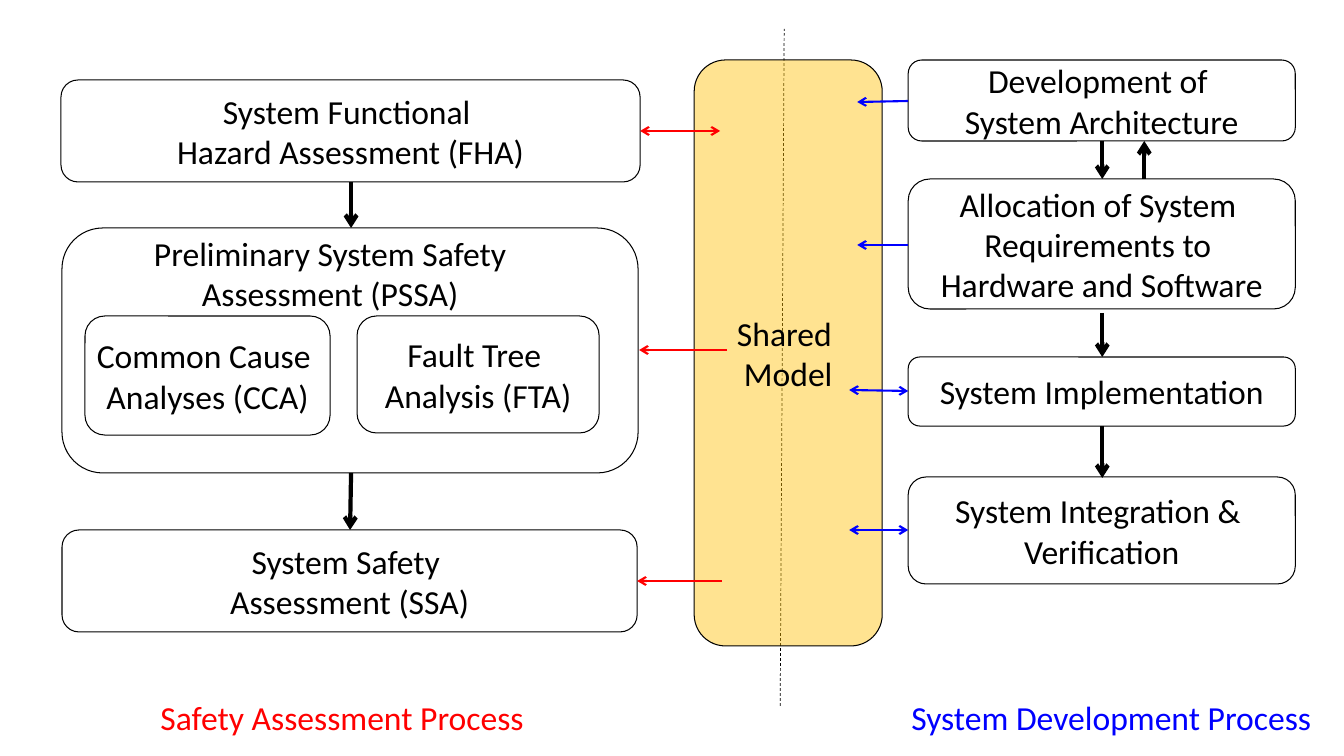
from lxml.etree import SubElement
from pptx import Presentation
from pptx.dml.color import RGBColor
from pptx.enum.dml import MSO_LINE
from pptx.enum.shapes import MSO_CONNECTOR, MSO_SHAPE
from pptx.enum.text import MSO_ANCHOR, PP_ALIGN
from pptx.oxml.ns import qn
from pptx.util import Emu, Inches, Pt

BLACK, WHITE, RED, BLUE, AMBER = "000000", "FFFFFF", "FF0000", "0000FF", "FFC000"
SCALE = 914400 / 100.8

# Boxes: text, left, top, width, height
SAFETY_BOXES = [
    ("System Functional \nHazard Assessment (FHA)", 61, 80, 579, 102),
    ("System Safety \nAssessment (SSA)", 62, 530, 575, 102),
    ("", 62, 228, 576, 245),
    ("Fault Tree \nAnalysis (FTA)", 357, 316, 242, 117),
    ("Common Cause \nAnalyses (CCA)", 85, 316, 245, 119),
]
DEVELOPMENT_LEFT, DEVELOPMENT_WIDTH = 908, 387
DEVELOPMENT_STEPS = [  # text, top, height
    ("Development of \nSystem Architecture", 60, 81),
    ("Allocation of System \nRequirements to \nHardware and Software", 179, 130),
    ("System Implementation", 357, 69),
    ("System Integration & \nVerification", 477, 107),
]
SHARED_MODEL = ("Shared \nModel", 694, 60, 188, 586)
LABELS = [  # text, left, top, width, height, colour
    ("Preliminary System Safety Assessment (PSSA)", 126, 228, 408, 92, BLACK),
    ("Safety Assessment Process", 138, 692, 408, 50, RED),
    ("System Development Process", 881, 692, 460, 50, BLUE),
]
DIVIDER = (780, 706, 784, 29)

# Arrows: start x, start y, end x, end y
FLOW_ARROWS = [
    (351, 182, 351, 228), (351, 473, 350, 530),
    (1102, 141, 1102, 179), (1102, 313, 1102, 357),
    (1102, 426, 1102, 478), (1144, 179, 1144, 141),
]
SAFETY_LINKS = [  # arrow, double-headed
    ((720, 131, 640, 131), True),
    ((727, 350, 639, 350), False),
    ((722, 581, 637, 581), False),
]
DEVELOPMENT_LINKS = [
    ((908, 101, 857, 102), False),
    ((908, 245, 857, 245), False),
    ((908, 391, 849, 390), True),
    ((908, 530, 849, 530), True),
]


def rgb(value):
    """Turn a hex string into a colour."""
    return RGBColor.from_string(value)


def emu(*pixels):
    """Turn pixels into EMU lengths."""
    return [Emu(round(pixel * SCALE)) for pixel in pixels]


def write(frame, text, colour=BLACK):
    """Fill a text frame with centred paragraphs."""
    frame.text = text
    for para in frame.paragraphs:
        para.alignment = PP_ALIGN.CENTER
        for span in para.runs:
            span.font.name = "Calibri"
            span.font.size = Pt(24)
            span.font.color.rgb = rgb(colour)


def add_box(page, text, left, top, width, height, fill=WHITE, opacity=100):
    """Add an outlined rounded box."""
    box = page.shapes.add_shape(
        MSO_SHAPE.ROUNDED_RECTANGLE, *emu(left, top, width, height))
    box.shadow.inherit = False
    box.fill.solid()
    box.fill.fore_color.rgb = rgb(fill)
    if opacity < 100:
        colour = box.fill._xPr.find(".//" + qn("a:srgbClr"))
        SubElement(colour, qn("a:alpha"), val=str(opacity * 1000))
    box.line.color.rgb = rgb(BLACK)
    box.line.width = Pt(0.75)
    if text:
        box.text_frame.word_wrap = False
        box.text_frame.vertical_anchor = MSO_ANCHOR.MIDDLE
        write(box.text_frame, text)


def add_label(page, text, left, top, width, height, colour):
    """Add a wrapped text box."""
    label = page.shapes.add_textbox(*emu(left, top, width, height))
    label.text_frame.word_wrap = True
    write(label.text_frame, text, colour)


def add_line(page, ends, colour, width, heads=()):
    """Add a straight line with open arrowheads at the named ends."""
    line = page.shapes.add_connector(MSO_CONNECTOR.STRAIGHT, *emu(*ends))
    line.line.color.rgb = rgb(colour)
    line.line.width = Pt(width)
    for head in heads:
        SubElement(line.line._get_or_add_ln(), qn(f"a:{head}"), type="arrow")
    SubElement(line._element.spPr, qn("a:effectLst"))
    return line


deck = Presentation()
deck.slide_width, deck.slide_height = Inches(13.33), Inches(7.5)
page = deck.slides.add_slide(deck.slide_layouts[6])

for safety_box in SAFETY_BOXES:
    add_box(page, *safety_box)
for text, top, height in DEVELOPMENT_STEPS:
    add_box(page, text, DEVELOPMENT_LEFT, top, DEVELOPMENT_WIDTH, height)
for label in LABELS:
    add_label(page, *label)

add_line(page, DIVIDER, BLACK, 0.5).line.dash_style = MSO_LINE.DASH
for arrow in FLOW_ARROWS:
    add_line(page, arrow, BLACK, 3, ["tailEnd"])
add_box(page, *SHARED_MODEL, fill=AMBER, opacity=43)

for links, colour in ((DEVELOPMENT_LINKS, BLUE), (SAFETY_LINKS, RED)):
    for arrow, double in links:
        heads = ["headEnd", "tailEnd"] if double else ["tailEnd"]
        add_line(page, arrow, colour, 1.5, heads)

deck.save("out.pptx")
